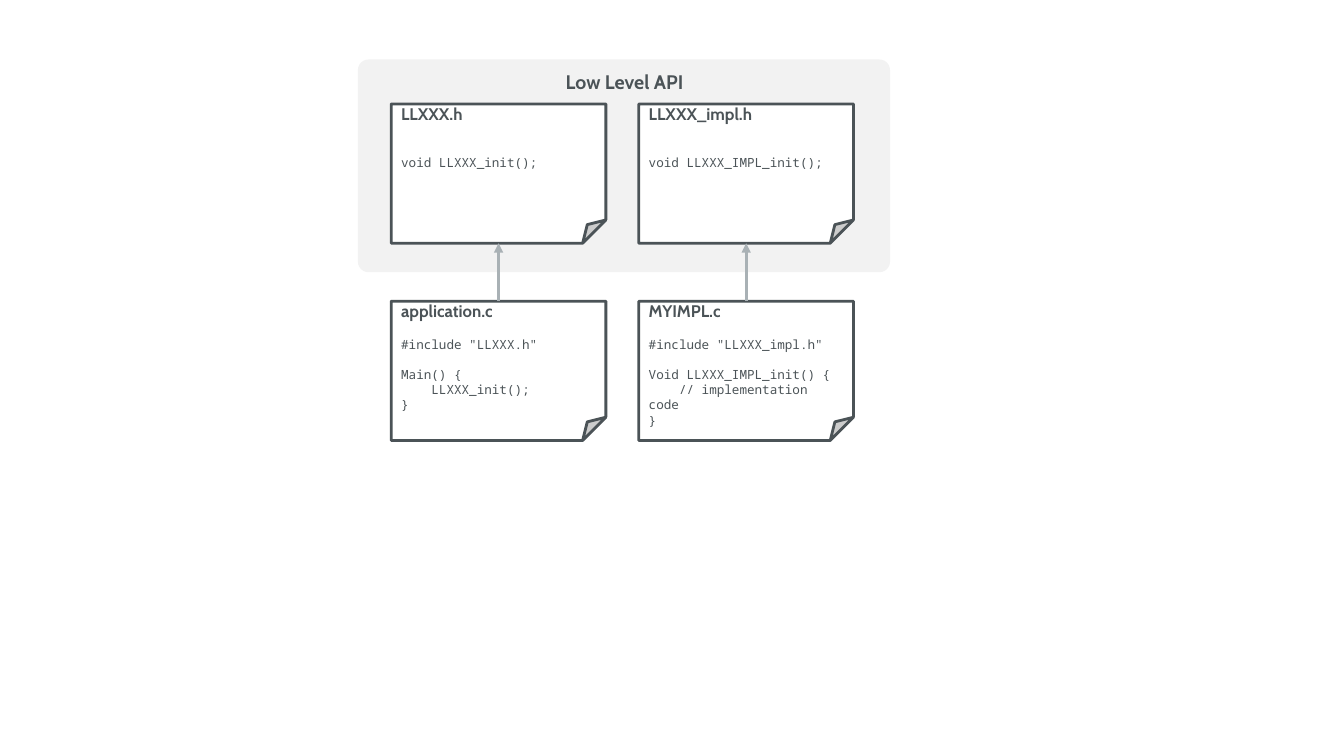
"""Draw a low level API diagram of headers and the sources that use them."""
from dataclasses import dataclass

from lxml import etree
from pptx import Presentation
from pptx import util as u
from pptx.dml.color import RGBColor
from pptx.enum import shapes, text
from pptx.oxml.ns import qn


@dataclass(frozen=True)
class Theme:
    ink: str = "4B5357"
    paper: str = "FFFFFF"
    panel: str = "F2F2F2"
    arrow: str = "A9B1B5"
    heading_font: str = "Cabin"
    code_font: str = "Noto Sans Mono"
    title_size: float = 14
    name_size: float = 12
    code_size: float = 9
    code_gap: float = 10.9
    outline: float = 2
    arrow_width: float = 2.25


THEME = Theme()
NOTE_WIDTH, NOTE_HEIGHT = 5.41, 3.51
COLUMNS = (9.86, 16.1)
HEADER_TOP, SOURCE_TOP = 2.62, 7.59

HEADERS = (
    ("LLXXX.h", "\n\nvoid LLXXX_init();"),
    ("LLXXX_impl.h", "\n\nvoid LLXXX_IMPL_init();"),
)
SOURCES = (
    ("application.c", """
#include "LLXXX.h"

Main() {
    LLXXX_init();
}"""),
    ("MYIMPL.c", """
#include "LLXXX_impl.h"

Void LLXXX_IMPL_init() {
    // implementation code
}"""),
)


def format_para(para, font_name, size, bold=False):
    """Style every run of a paragraph in the ink colour."""
    for span in para.runs:
        span.font.name = font_name
        span.font.size = u.Pt(size)
        span.font.bold = bold
        span.font.color.rgb = RGBColor.from_string(THEME.ink)


def add_box(page, kind, left, top, width, height, fill):
    """Add a flat filled shape without an outline."""
    box = page.shapes.add_shape(kind, u.Cm(left), u.Cm(top), u.Cm(width), u.Cm(height))
    box.shadow.inherit = False
    box.fill.solid()
    box.fill.fore_color.rgb = RGBColor.from_string(fill)
    box.line.fill.background()
    return box


def add_panel(page):
    """Add the rounded panel behind the headers."""
    panel = add_box(page, shapes.MSO_SHAPE.ROUNDED_RECTANGLE, 9.02, 1.5, 13.41, 5.36, THEME.panel)
    panel.adjustments[0] = 0.05


def add_title(page, caption):
    """Add the centred title of the panel."""
    box = page.shapes.add_textbox(u.Cm(13.06), u.Cm(1.63), u.Cm(5.36), u.Cm(0.86))
    frame = box.text_frame
    frame.word_wrap = True
    frame.margin_left = frame.margin_right = u.Cm(0.3)
    frame.text = caption
    para = frame.paragraphs[0]
    para.alignment = text.PP_ALIGN.CENTER
    format_para(para, THEME.heading_font, THEME.title_size, bold=True)


def add_note(page, left, top, name, code):
    """Add a folded page with a file name and its code, turning empty lines into spacing."""
    note = add_box(page, shapes.MSO_SHAPE.FOLDED_CORNER, left, top, NOTE_WIDTH, NOTE_HEIGHT, THEME.paper)
    note.line.color.rgb = RGBColor.from_string(THEME.ink)
    note.line.width = u.Pt(THEME.outline)
    frame = note.text_frame
    frame.word_wrap = True
    frame.vertical_anchor = text.MSO_ANCHOR.TOP
    frame.margin_left = frame.margin_right = u.Cm(0.25)
    frame.margin_top = 0
    frame.text = name
    format_para(frame.paragraphs[0], THEME.heading_font, THEME.name_size, bold=True)
    gaps = 0
    for line in code.split("\n"):
        if not line:
            gaps += 1
            continue
        para = frame.add_paragraph()
        para.text = line
        para.space_before = u.Pt(gaps * THEME.code_gap)
        format_para(para, THEME.code_font, THEME.code_size)
        gaps = 0
    for para in frame.paragraphs:
        para.alignment = text.PP_ALIGN.LEFT


def add_arrow(page, x, start, end):
    """Add a vertical arrow pointing at its end."""
    arrow = page.shapes.add_connector(
        shapes.MSO_CONNECTOR.STRAIGHT, u.Cm(x), u.Cm(start), u.Cm(x), u.Cm(end))
    arrow.line.color.rgb = RGBColor.from_string(THEME.arrow)
    arrow.line.width = u.Pt(THEME.arrow_width)
    etree.SubElement(arrow.line._get_or_add_ln(), qn("a:tailEnd"), type="triangle")
    etree.SubElement(arrow._element.spPr, qn("a:effectLst"))


def main():
    """Build and save the slide."""
    deck = Presentation()
    deck.slide_width, deck.slide_height = u.Cm(33.87), u.Cm(19.05)
    page = deck.slides.add_slide(deck.slide_layouts[6])
    add_panel(page)
    for left, header, source in zip(COLUMNS, HEADERS, SOURCES):
        add_note(page, left, HEADER_TOP, *header)
        add_note(page, left, SOURCE_TOP, *source)
        add_arrow(page, left + NOTE_WIDTH / 2, SOURCE_TOP, HEADER_TOP + NOTE_HEIGHT)
    add_title(page, "Low Level API")
    deck.save("out.pptx")


if __name__ == "__main__":
    main()
